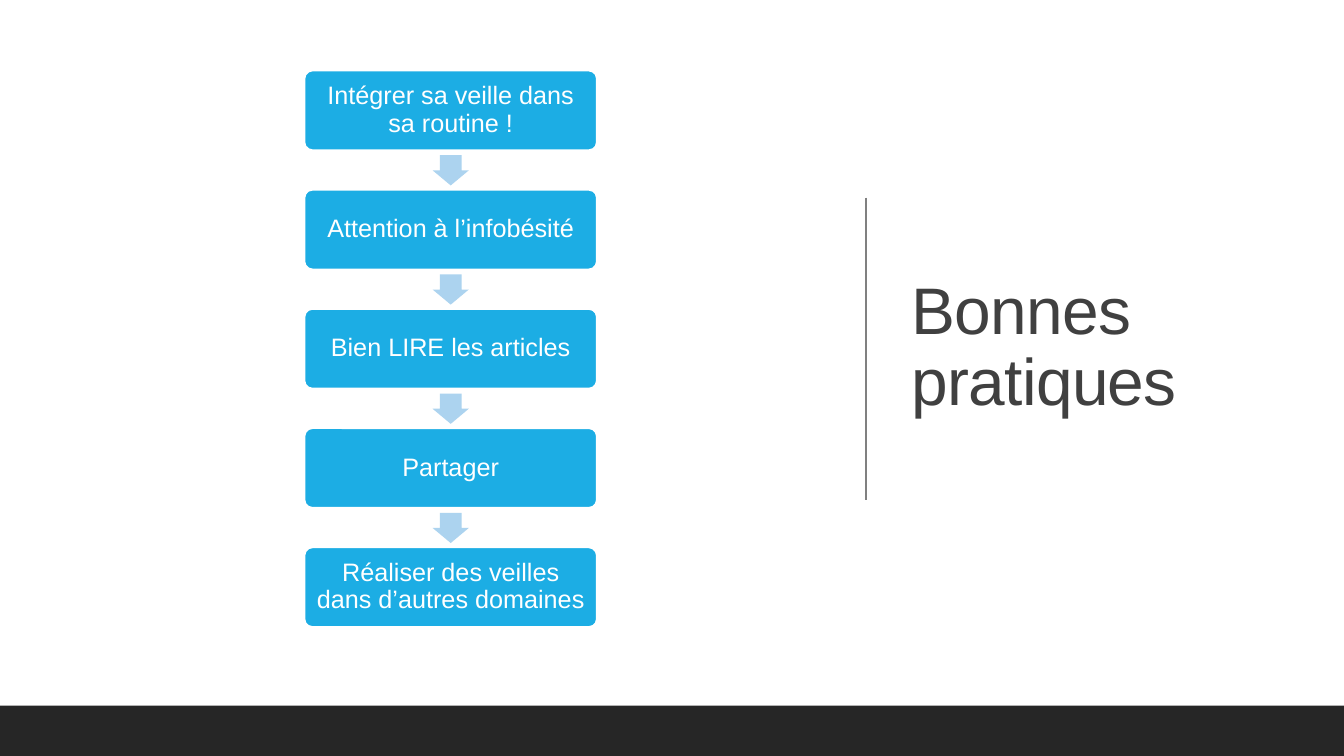
from pptx import Presentation
from pptx.dml.color import RGBColor
from pptx.enum.shapes import MSO_CONNECTOR, MSO_SHAPE
from pptx.enum.text import MSO_ANCHOR, MSO_AUTO_SIZE, PP_ALIGN
from pptx.oxml.ns import qn
from pptx.util import Inches, Pt
from lxml import etree

RECTANGLE = MSO_SHAPE.RECTANGLE
ROUNDED_RECTANGLE = MSO_SHAPE.ROUNDED_RECTANGLE
RIGHT_ARROW = MSO_SHAPE.RIGHT_ARROW
STRAIGHT = MSO_CONNECTOR.STRAIGHT
MIDDLE = MSO_ANCHOR.MIDDLE
NO_AUTOFIT = MSO_AUTO_SIZE.NONE
LEFT = PP_ALIGN.LEFT
CENTER = PP_ALIGN.CENTER

WHITE = RGBColor(0xFF, 0xFF, 0xFF)
BLUE = RGBColor(0x1C, 0xAD, 0xE4)
PALE_BLUE = RGBColor(0xAC, 0xD3, 0xEF)
GRAY = RGBColor(0x80, 0x80, 0x80)
DARK_GRAY = RGBColor(0x40, 0x40, 0x40)
NEAR_BLACK = RGBColor(0x26, 0x26, 0x26)

PRACTICES = [
    "Intégrer sa veille dans sa routine !",
    "Attention à l’infobésité",
    "Bien LIRE les articles",
    "Partager",
    "Réaliser des veilles dans d’autres domaines",
]
FIRST_TOP = 0.7
LAST_TOP = 5.43
STEP_PITCH = (LAST_TOP - FIRST_TOP) / (len(PRACTICES) - 1)
ARROW_OFFSET = 0.81


def add_filled_shape(shapes, kind, left, top, width, height, color):
    shape = shapes.add_shape(kind, Inches(left), Inches(top), Inches(width), Inches(height))
    shape.shadow.inherit = False
    shape.fill.solid()
    shape.fill.fore_color.rgb = color
    shape.line.fill.background()
    return shape


def format_text(shape, text, size, color, alignment):
    frame = shape.text_frame
    frame.text = text
    frame.word_wrap = True
    frame.auto_size = NO_AUTOFIT
    frame.vertical_anchor = MIDDLE
    paragraph = frame.paragraphs[0]
    paragraph.alignment = alignment
    paragraph.line_spacing = 0.9
    paragraph.font.name = "Arial"
    paragraph.font.size = Pt(size)
    paragraph.font.color.rgb = color
    return frame


presentation = Presentation()
presentation.slide_width = Inches(13.33)
presentation.slide_height = Inches(7.5)
slide = presentation.slides.add_slide(presentation.slide_layouts[5])
slide.background.fill.solid()
slide.background.fill.fore_color.rgb = WHITE

title = slide.shapes.title
title.left, title.top = Inches(8.94), Inches(0.69)
title.width, title.height = Inches(3.69), Inches(5.53)
title_frame = format_text(title, "Bonnes pratiques", 47, DARK_GRAY, LEFT)
title_frame.paragraphs[0].runs[0].font._element.set("spc", "-50")

divider = slide.shapes.add_connector(
    STRAIGHT, Inches(8.59), Inches(1.96), Inches(8.59), Inches(4.96))
divider.line.color.rgb = GRAY
divider.line.width = Pt(1)
etree.SubElement(divider._element.spPr, qn("a:effectLst"))

add_filled_shape(slide.shapes, RECTANGLE, 0, 7, 13.33, 0.5, NEAR_BLACK)

process = slide.shapes.add_group_shape()
for index, practice in enumerate(PRACTICES):
    top = FIRST_TOP + index * STEP_PITCH
    step = add_filled_shape(process.shapes, ROUNDED_RECTANGLE, 3.02, top, 2.9, 0.79, BLUE)
    step.adjustments[0] = 0.1
    step.line.color.rgb = WHITE
    step.line.width = Pt(1.25)
    step_frame = format_text(step, practice, 18, WHITE, CENTER)
    step_frame.margin_left = step_frame.margin_right = Inches(0.07)
    step_frame.margin_top = step_frame.margin_bottom = Inches(0.07)

    if index < len(PRACTICES) - 1:
        arrow = add_filled_shape(
            process.shapes, RIGHT_ARROW, 4.32, top + ARROW_OFFSET, 0.3, 0.36, PALE_BLUE)
        arrow.rotation = 90
        arrow.adjustments[0] = 0.6
        arrow.adjustments[1] = 0.5

presentation.save("out.pptx")
